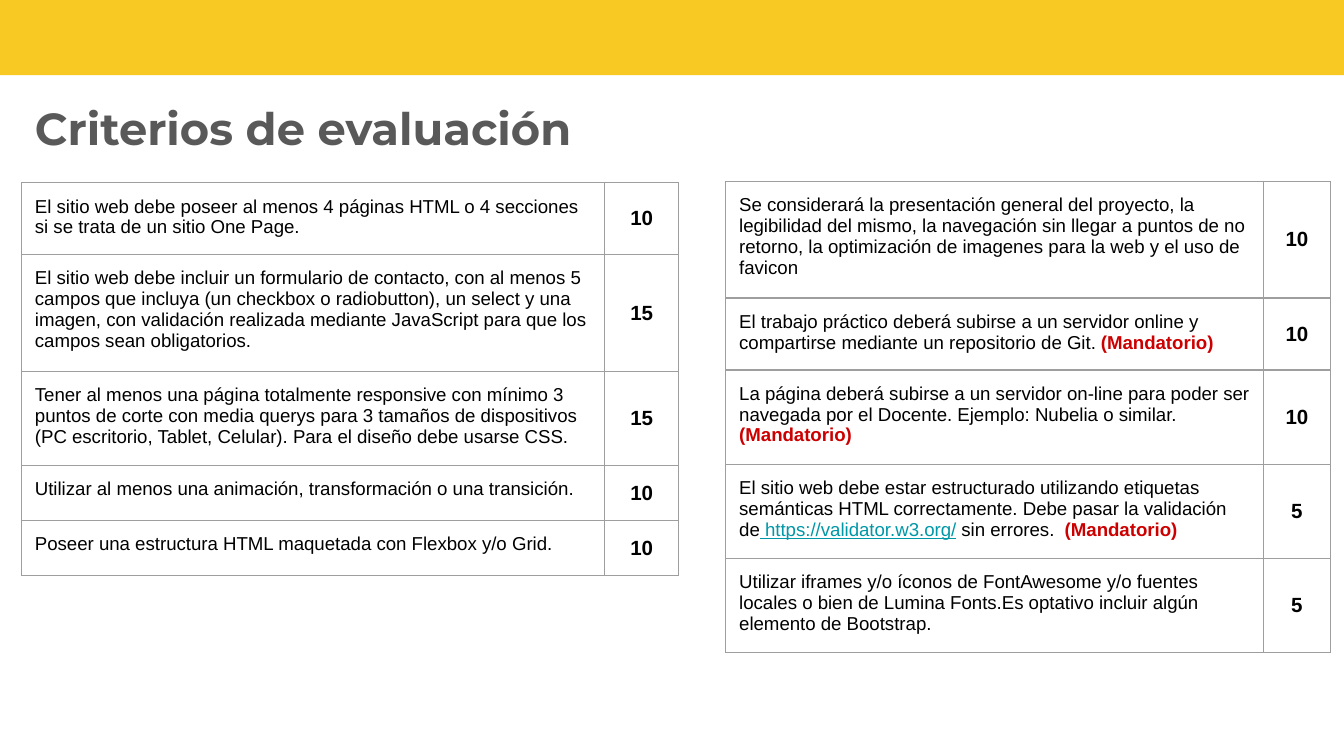
from dataclasses import dataclass

from lxml.etree import SubElement as Sub
from pptx import Presentation
from pptx.dml.color import RGBColor as RGB
from pptx.enum.shapes import MSO_SHAPE as Shape
from pptx.enum.text import MSO_ANCHOR as Anchor, MSO_AUTO_SIZE as Fit, PP_ALIGN as Align
from pptx.oxml.ns import qn
from pptx.util import Inches, Pt


@dataclass(frozen=True)
class Theme:
    """Colours, fonts and type sizes of the slide."""
    band: str = "F8C823"
    title: str = "595959"
    text: str = "000000"
    alert: str = "CC0000"
    link: str = "0097A7"
    border: str = "9E9E9E"
    title_font: str = "Montserrat"
    body_font: str = "Arial"
    title_size: int = 24
    body_size: int = 10
    score_size: int = 11
    border_width: float = 0.75
    inset: float = 0.1


THEME = Theme()


def add_run(p, text, size=THEME.body_size, font=THEME.body_font,
            color=THEME.text, bold=False, underline=False):
    """Append a formatted run to a paragraph."""
    p.line_spacing = 1.0
    r = p.add_run()
    r.text = text
    r.font.size, r.font.name = Pt(size), font
    r.font.bold, r.font.underline = bold, underline
    r.font.color.rgb = RGB.from_string(color)
    for script in ("ea", "cs"):
        Sub(r._r.get_or_add_rPr(), qn(f"a:{script}"), typeface=font)


class Builder:
    """Hold the style and the current slide."""

    def __init__(self, prs, theme):
        """Start a title-only slide."""
        self.theme = theme
        self.s = prs.slides.add_slide(prs.slide_layouts[5])

    def set_insets(self, box):
        """Apply the common inset to a cell or text frame."""
        box.margin_left = box.margin_right = Inches(self.theme.inset)
        box.margin_top = box.margin_bottom = Inches(self.theme.inset)

    def band(self, x, y, w, h):
        """Draw the coloured band."""
        sp = self.s.shapes.add_shape(
            Shape.RECTANGLE, Inches(x), Inches(y), Inches(w), Inches(h))
        sp.shadow.inherit = False
        sp.fill.solid()
        sp.fill.fore_color.rgb = RGB.from_string(self.theme.band)
        sp.line.fill.background()

    def title(self, text, x, y, w, h):
        """Place and fill the title."""
        sp = self.s.shapes.title
        sp.left, sp.top, sp.width, sp.height = map(Inches, (x, y, w, h))
        tf = sp.text_frame
        self.set_insets(tf)
        tf.word_wrap, tf.auto_size = True, Fit.SHAPE_TO_FIT_TEXT
        tf.vertical_anchor = Anchor.TOP
        p = tf.paragraphs[0]
        p.alignment = Align.LEFT
        add_run(p, text, size=self.theme.title_size, font=self.theme.title_font,
                color=self.theme.title, bold=True)

    def style_cell(self, cell):
        """Clear the fill of a cell and outline it."""
        self.set_insets(cell)
        cell.fill.background()
        tc_pr = cell._tc.get_or_add_tcPr()
        for i, side in enumerate(("lnL", "lnR", "lnT", "lnB")):
            ln = Sub(tc_pr, qn(f"a:{side}"), w=str(Pt(self.theme.border_width)))
            Sub(Sub(ln, qn("a:solidFill")), qn("a:srgbClr"), val=self.theme.border)
            tc_pr.insert(i, ln)

    def score_table(self, x, y, side, widths, rows):
        """Add a table of criteria and their scores in a square frame."""
        frame = self.s.shapes.add_table(
            len(rows), 2, Inches(x), Inches(y), Inches(side), Inches(side))
        tbl = frame.table
        tbl.first_row = tbl.horz_banding = False
        for col, w in zip(tbl.columns, widths):
            col.width = Inches(w)
        for row, (height, score, runs) in zip(tbl.rows, rows):
            row.height = Inches(height)
            criterion, points = row.cells
            self.style_cell(criterion)
            self.style_cell(points)
            for text, fmt in runs:
                add_run(criterion.text_frame.paragraphs[0], text, **fmt)
            points.vertical_anchor = Anchor.MIDDLE
            p = points.text_frame.paragraphs[0]
            p.alignment = Align.CENTER
            add_run(p, str(score), size=self.theme.score_size, bold=True)
        frame.width = frame.height = Inches(side)


PLAIN = {}
LINK = {"color": THEME.link, "underline": True}
MANDATORY = ("(Mandatorio)", {"color": THEME.alert, "bold": True})

SITE_CRITERIA = [
    (0.41, 10, [("El sitio web debe poseer al menos 4 páginas HTML o 4 secciones "
                 "si se trata de un sitio One Page.", PLAIN)]),
    (0.65, 15, [("El sitio web debe incluir un formulario de contacto, con al menos 5 "
                 "campos que incluya (un checkbox o radiobutton), un select y una imagen, "
                 "con validación realizada mediante JavaScript para que los campos sean "
                 "obligatorios.", PLAIN)]),
    (0.5, 15, [("Tener al menos una página totalmente responsive con mínimo 3 puntos de "
                "corte con media querys para 3 tamaños de dispositivos (PC escritorio, "
                "Tablet, Celular). Para el diseño debe usarse CSS.", PLAIN)]),
    (0.41, 10, [("Utilizar al menos una animación, transformación o una transición.", PLAIN)]),
    (0.41, 10, [("Poseer una estructura HTML maquetada con Flexbox y/o Grid.", PLAIN)]),
]

DELIVERY_CRITERIA = [
    (0.5, 10, [("Se considerará la presentación general del proyecto, la legibilidad del "
                "mismo, la navegación sin llegar a puntos de no retorno, la optimización "
                "de imagenes para la web y el uso de favicon", PLAIN)]),
    (0.5, 10, [("El trabajo práctico deberá subirse a un servidor online y compartirse "
                "mediante un repositorio de Git. ", PLAIN), MANDATORY]),
    (0.5, 10, [("La página deberá subirse a un servidor on-line para poder ser navegada "
                "por el Docente. Ejemplo: Nubelia o similar. ", PLAIN), MANDATORY]),
    (0.5, 5, [("El sitio web debe estar estructurado utilizando etiquetas semánticas HTML "
               "correctamente. Debe pasar la validación de", PLAIN),
              (" https://validator.w3.org/", LINK),
              (" sin errores.  ", PLAIN), MANDATORY]),
    (0.41, 5, [("Utilizar iframes y/o íconos de FontAwesome y/o fuentes locales o bien de "
                "Lumina Fonts.Es optativo incluir algún elemento de Bootstrap.", PLAIN)]),
]


def main():
    """Build and save the slide."""
    prs = Presentation()
    prs.slide_width = Inches(10)
    prs.slide_height = prs.slide_width * 9 // 16
    b = Builder(prs, THEME)
    b.band(-0.01, -0.05, 10.03, 0.61)
    b.score_table(0.16, 1.36, 3.28, (4.34, 0.55), SITE_CRITERIA)
    b.score_table(5.4, 1.35, 3.28, (4, 0.5), DELIVERY_CRITERIA)
    b.title("Criterios de evaluación", 0.16, 0.65, 5.4, 0.61)
    prs.save("out.pptx")


if __name__ == "__main__":
    main()
